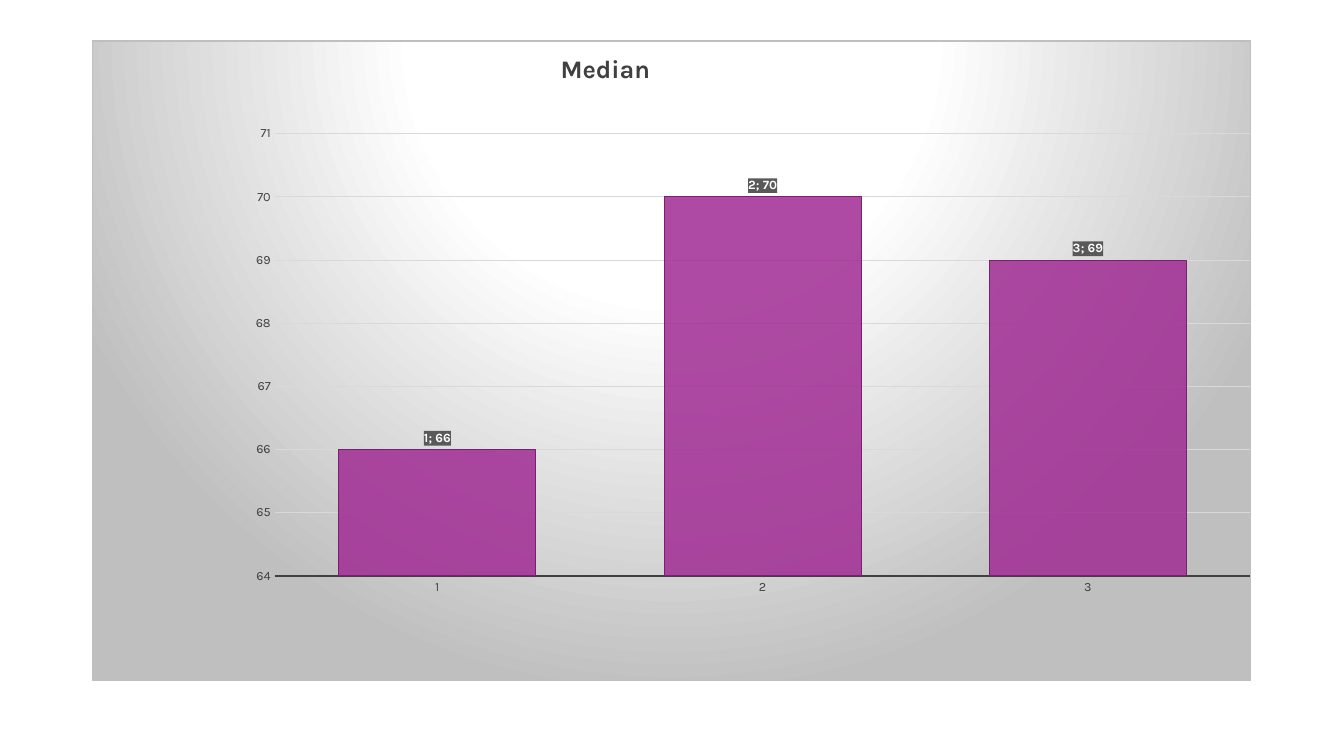
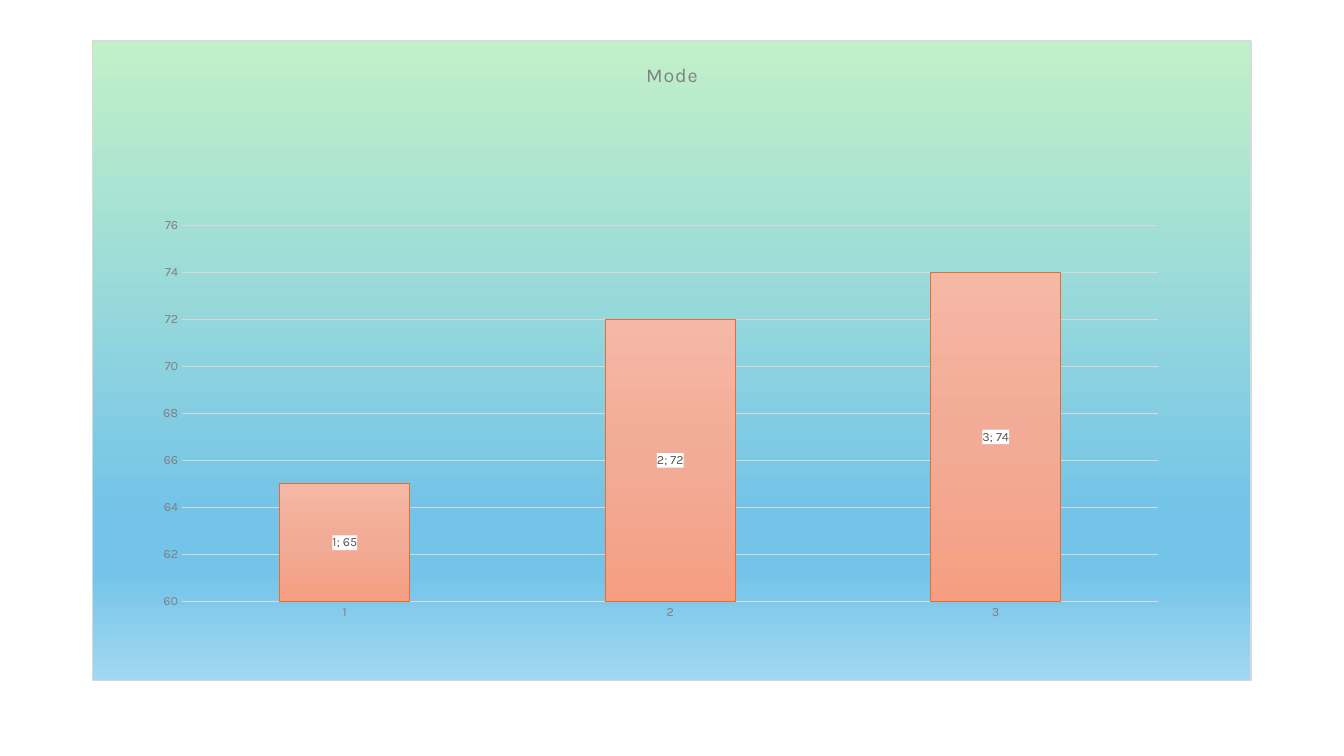
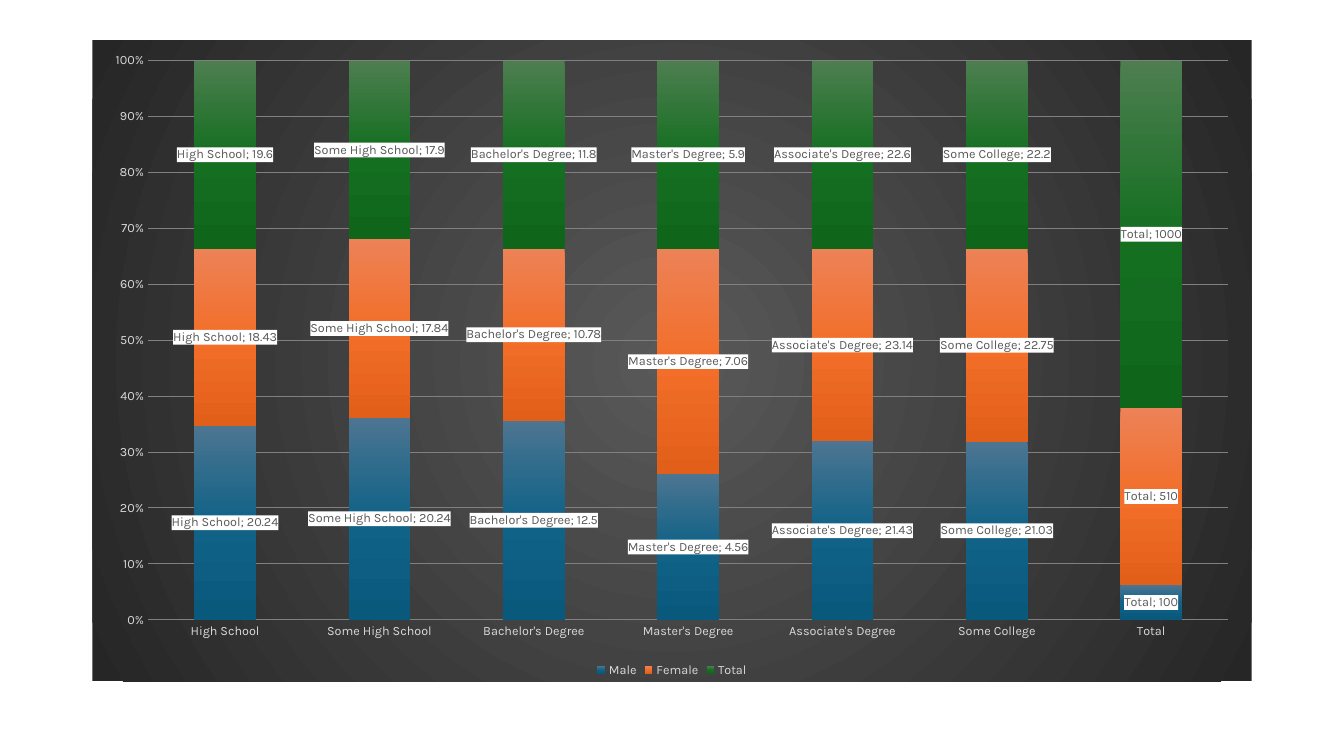
import pptx
import pptx.chart.data
import pptx.dml.color
import pptx.enum.chart
import pptx.oxml
import pptx.oxml.ns
import pptx.util

Cm, Pt = pptx.util.Cm, pptx.util.Pt
qn = pptx.oxml.ns.qn
ChartType = pptx.enum.chart.XL_CHART_TYPE
LabelPosition = pptx.enum.chart.XL_LABEL_POSITION

# Shared style
FONT = "Karla"
LINE_WIDTH = 0.75
CHART_BOX = Cm(2.33), Cm(1.02), Cm(29.21), Cm(16.15)
COLORS = {
    "black": "000000", "white": "FFFFFF",
    "dark": "404040", "label": "595959", "mid": "808080",
    "silver": "BFBFBF", "light": "D9D9D9", "night": "262626",
    "purple": "A02B93", "plum": "78206E", "orange": "E46F31",
    "mint": "C2F1C8", "sky": "74C4E9", "pale sky": "A2D8F0",
}
BAR_SHADES = {
    "peach": ("F5B8A5", "F2AB96", "F59E82"),
    "blue": ("4C7591", "106287", "09597D"),
    "orange": ("ED8257", "F26E29", "E25F1A"),
    "green": ("4D7E50", "156F21", "0F661B"),
}
NS = pptx.oxml.ns.nsdecls("c", "a")
DOWNWARD = '<a:lin ang="5400000" scaled="0"/>'


# Fills and outlines
def solid(color, alpha=100):
    return (f'<a:solidFill><a:srgbClr val="{color}">'
            f'<a:alpha val="{alpha * 1000}"/></a:srgbClr></a:solidFill>')


def gradient(stops, direction=DOWNWARD):
    marks = "".join(f'<a:gs pos="{place * 1000}"><a:srgbClr val="{color}"/></a:gs>'
                    for place, color in stops)
    return (f'<a:gradFill rotWithShape="1"><a:gsLst>{marks}</a:gsLst>'
            f'{direction}</a:gradFill>')


def circular(top, bottom):
    return (f'<a:path path="circle"><a:fillToRect l="50000" t="{top * 1000}" '
            f'r="50000" b="{bottom * 1000}"/></a:path>')


def bar_gradient(name):
    return gradient(zip((0, 50, 100), BAR_SHADES[name]))


def shape_style(fill, border=None):
    paint = solid(border) if border else "<a:noFill/>"
    return pptx.oxml.parse_xml(
        f'<c:spPr {NS}>{fill}<a:ln w="{Pt(LINE_WIDTH)}">{paint}</a:ln></c:spPr>')


# Text and layout
def set_font(font, size, color, bold=False):
    font.name = FONT
    font.size = Pt(size)
    font.bold = bold
    font.color.rgb = pptx.dml.color.RGBColor.from_string(color)


def set_layout(parent, index, target="", **fractions):
    """Place a chart part by fractions of the chart area."""
    previous = parent.find(qn("c:layout"))
    if previous is not None:
        parent.remove(previous)
    inner = '<c:layoutTarget val="inner"/>' if target else ""
    modes = '<c:xMode val="edge"/><c:yMode val="edge"/>'
    values = "".join(f'<c:{key} val="{value}"/>' for key, value in fractions.items())
    parent.insert(index, pptx.oxml.parse_xml(
        f"<c:layout {NS}><c:manualLayout>{inner}{modes}{values}"
        "</c:manualLayout></c:layout>"))


# Chart parts
def add_chart(deck, kind, categories, series, background, border=None, plot_box=None):
    slide = deck.slides.add_slide(deck.slide_layouts[6])
    data = pptx.chart.data.CategoryChartData()
    data.categories = categories
    for name, values in series:
        data.add_series(name, values)
    chart = slide.shapes.add_chart(kind, *CHART_BOX, data).chart
    set_font(chart.font, 10, COLORS["black"])
    chart.has_title = chart.has_legend = False
    chart_part = chart.element.find(qn("c:chart"))
    chart_part.addnext(shape_style(background, border))
    if plot_box:
        sides = dict(zip("xywh", plot_box))
        set_layout(chart_part.find(qn("c:plotArea")), 0, "inner", **sides)
    return chart


def add_title(chart, text, size, color, bold=False, spacing=0, corner=None):
    chart.has_title = True
    title = chart.chart_title
    title.text_frame.text = text
    run = title.text_frame.paragraphs[0].runs[0]
    set_font(run.font, size, color, bold)
    run.font._element.set("spc", str(spacing))
    if corner:
        set_layout(title._element, 1, x=corner[0], y=corner[1])
        title._element.find(qn("c:overlay")).set("val", "1")


def style_axes(chart, color, grid, scale=None, baseline=False, number_format="General"):
    for axis in (chart.category_axis, chart.value_axis):
        axis.major_tick_mark = axis.minor_tick_mark = pptx.enum.chart.XL_TICK_MARK.NONE
        set_font(axis.tick_labels.font, 9, color)
        axis.format.line.fill.background()
    if baseline:
        line = chart.category_axis.format.line
        line.color.rgb = pptx.dml.color.RGBColor.from_string(color)
        line.width = Pt(1.5)
    values = chart.value_axis
    values.tick_labels.number_format = number_format
    values.tick_labels.number_format_is_linked = False
    values.has_major_gridlines = True
    gridline = values.major_gridlines.format.line
    gridline.color.rgb = pptx.dml.color.RGBColor.from_string(grid)
    gridline.width = Pt(LINE_WIDTH)
    if scale:
        values.minimum_scale, values.maximum_scale, values.major_unit = scale


def style_bars(chart, fills, gap=150, overlap=100, border=None):
    plot = chart.plots[0]
    plot.gap_width, plot.overlap = gap, overlap
    plot.vary_by_categories = False
    for bars, fill in zip(plot.series, fills):
        bars.invert_if_negative = False
        element = bars._element
        element.replace(element.get_or_add_spPr(), shape_style(fill, border))


def label_bars(chart, position=LabelPosition.CENTER, color=COLORS["label"],
               back=COLORS["white"], bold=False):
    for bars in chart.plots[0].series:
        labels = bars.data_labels
        labels.show_value = labels.show_category_name = True
        labels.position = position
        set_font(labels.font, 9, color, bold)
        element = labels._element
        element.find(qn("c:txPr")).addprevious(shape_style(solid(back)))
        element.find(qn("c:showBubbleSize")).addnext(
            pptx.oxml.parse_xml(f"<c:separator {NS}>; </c:separator>"))


# Slides
def median_slide(deck):
    backdrop = gradient(
        [(0, COLORS["white"]), (39, COLORS["white"]), (100, COLORS["silver"])],
        circular(-80, 180))
    chart = add_chart(deck, ChartType.COLUMN_CLUSTERED, ["1", "2", "3"],
                      [("Median", (66, 70, 69))], backdrop, COLORS["silver"],
                      (0.157, 0.145, 0.843, 0.691))
    add_title(chart, "Median", 18, COLORS["dark"], bold=True, corner=(0.4, 0.01))
    style_axes(chart, COLORS["dark"], COLORS["light"], (64, 71, 1), baseline=True)
    style_bars(chart, [solid(COLORS["purple"], 85)], 65, 0, COLORS["plum"])
    label_bars(chart, LabelPosition.OUTSIDE_END, COLORS["white"], COLORS["label"], True)


def mode_slide(deck):
    backdrop = gradient([(0, COLORS["mint"]), (74, COLORS["sky"]),
                         (83, COLORS["sky"]), (100, COLORS["pale sky"])])
    chart = add_chart(deck, ChartType.COLUMN_STACKED, ["1", "2", "3"],
                      [("Mode", (65, 72, 74))], backdrop, COLORS["light"],
                      (0.077, 0.288, 0.843, 0.588))
    add_title(chart, "Mode", 14, COLORS["mid"], spacing=50)
    style_axes(chart, COLORS["mid"], COLORS["light"], (60, 76, 2))
    style_bars(chart, [bar_gradient("peach")], border=COLORS["orange"])
    label_bars(chart)


def education_slide(deck):
    levels = ["High School", "Some High School", "Bachelor's Degree",
              "Master's Degree", "Associate's Degree", "Some College", "Total"]
    shares = [
        ("Male", (20.24, 20.24, 12.5, 4.56, 21.43, 21.03, 100)),
        ("Female", (18.43, 17.84, 10.78, 7.06, 23.14, 22.75, 510)),
        ("Total", (19.6, 17.9, 11.8, 5.9, 22.6, 22.2, 1000)),
    ]
    backdrop = gradient([(0, COLORS["label"]), (100, COLORS["night"])], circular(50, 50))
    chart = add_chart(deck, ChartType.COLUMN_STACKED_100, levels, shares, backdrop)
    style_axes(chart, COLORS["light"], COLORS["mid"], number_format="0%")
    style_bars(chart, [bar_gradient(name) for name in ("blue", "orange", "green")])
    label_bars(chart)
    chart.has_legend = True
    chart.legend.position = pptx.enum.chart.XL_LEGEND_POSITION.BOTTOM
    chart.legend.include_in_layout = False
    set_font(chart.legend.font, 9, COLORS["light"])


def main():
    deck = pptx.Presentation()
    deck.slide_width, deck.slide_height = Cm(33.87), Cm(19.05)
    median_slide(deck)
    mode_slide(deck)
    education_slide(deck)
    deck.save("out.pptx")


if __name__ == "__main__":
    main()
